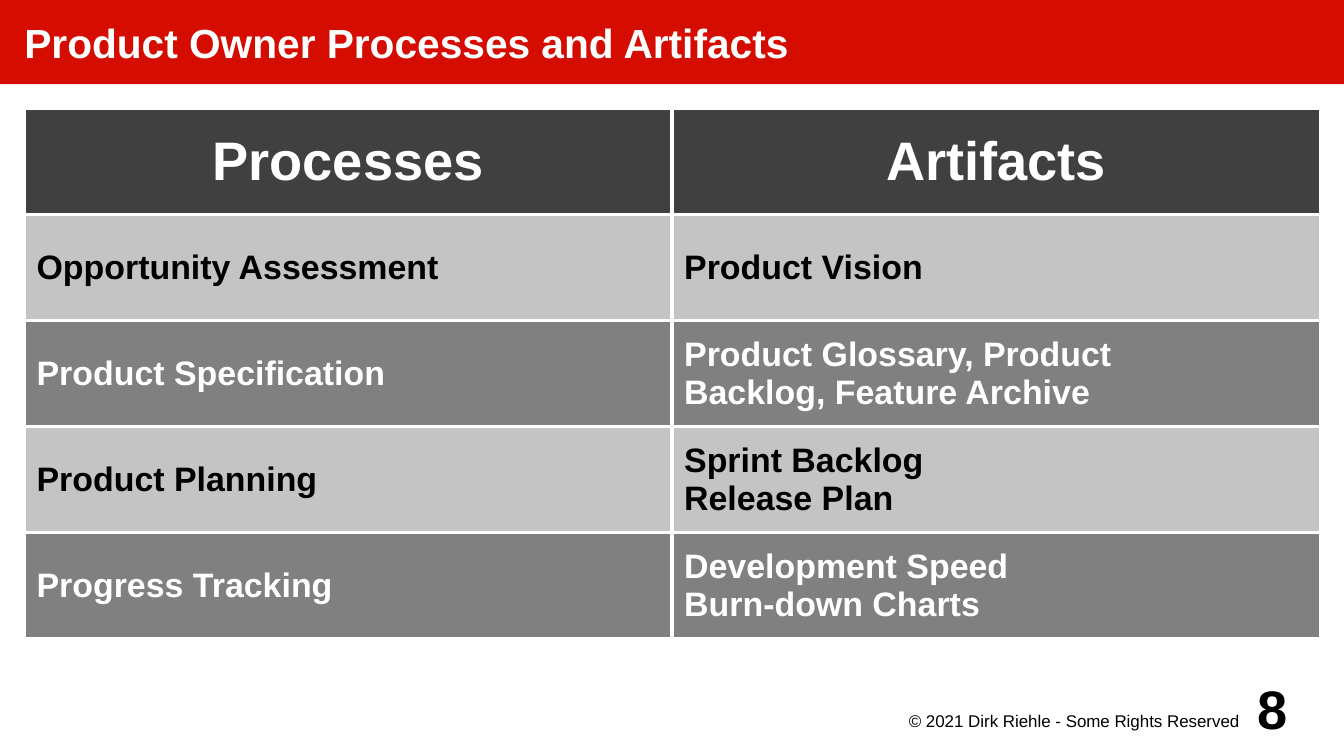
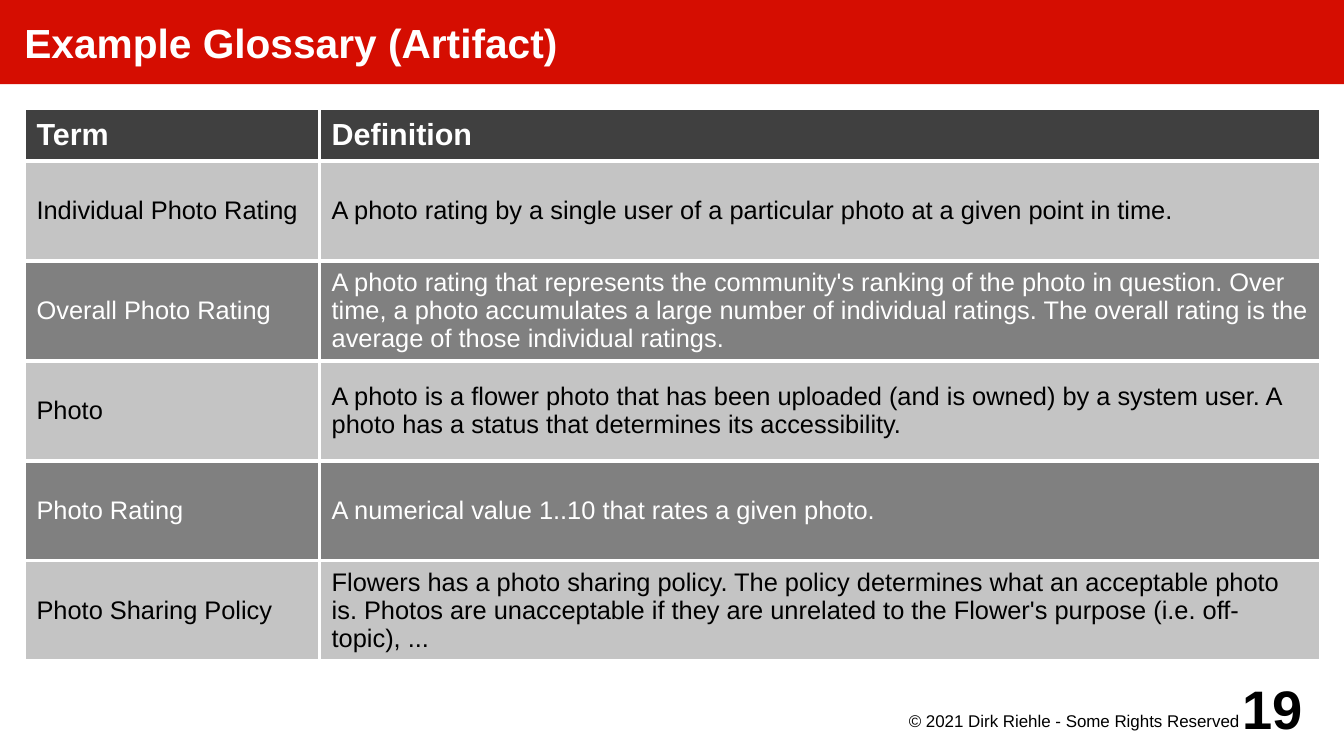
from lxml import etree
from pptx import Presentation
from pptx import util as u
from pptx.dml import color
from pptx.enum import text
from pptx.oxml import ns

FONT = "Arial"
RED, WHITE, BLACK = "D50D01", "FFFFFF", "000000"
HEADER, LIGHT, DARK = "404040", "C4C4C4", "808080"
PAGE_WIDTH, PAGE_HEIGHT = 11.02, 6.2
MARGIN, TABLE_TOP = 0.2, 0.89
BORDER_POINTS = 2.27
COPYRIGHT = "© 2021 Dirk Riehle - Some Rights Reserved"
LEFT, CENTER, RIGHT = text.PP_ALIGN.LEFT, text.PP_ALIGN.CENTER, text.PP_ALIGN.RIGHT
MIDDLE, TOP = text.MSO_ANCHOR.MIDDLE, text.MSO_ANCHOR.TOP

PROCESS_ROWS = [
    ("Processes", "Artifacts"),
    ("Opportunity Assessment", "Product Vision"),
    ("Product Specification", "Product Glossary, Product\vBacklog, Feature Archive"),
    ("Product Planning", "Sprint Backlog\nRelease Plan"),
    ("Progress Tracking", "Development Speed\nBurn-down Charts"),
]
GLOSSARY_ROWS = [
    ("Term", "Definition"),
    ("Individual Photo Rating",
     "A photo rating by a single user of a particular photo at a given point in time."),
    ("Overall Photo Rating",
     "A photo rating that represents the community's ranking of the photo in question. "
     "Over time, a photo accumulates a large number of individual ratings. "
     "The overall rating is the average of those individual ratings."),
    ("Photo",
     "A photo is a flower photo that has been uploaded (and is owned) by a system user. "
     "A photo has a status that determines its accessibility."),
    ("Photo Rating", "A numerical value 1..10 that rates a given photo."),
    ("Photo Sharing Policy",
     "Flowers has a photo sharing policy. The policy determines what an acceptable photo is. "
     "Photos are unacceptable if they are unrelated to the Flower's purpose "
     "(i.e. off-topic), ..."),
]


def paint(target, value):
    target.solid()
    target.fore_color.rgb = color.RGBColor.from_string(value)


def write(frame, content, size, ink, bold=False, align=LEFT):
    for index, paragraph in enumerate(content.split("\n")):
        para = frame.add_paragraph() if index else frame.paragraphs[0]
        para.alignment = align
        for position, line in enumerate(paragraph.split("\v")):
            if position:
                para.add_line_break()
            span = para.add_run()
            span.text = line
            span.font.name = FONT
            span.font.size = u.Pt(size)
            span.font.bold = bold
            paint(span.font.fill, ink)


def set_frame(frame, insets, anchor):
    frame.word_wrap = True
    frame.auto_size = text.MSO_AUTO_SIZE.NONE
    frame.vertical_anchor = anchor
    frame.margin_left, frame.margin_top, frame.margin_right, frame.margin_bottom = map(
        u.Inches, insets)


def add_label(page, at, content, size, bold, align, anchor, insets):
    box = page.shapes.add_textbox(*map(u.Inches, at))
    set_frame(box.text_frame, insets, anchor)
    write(box.text_frame, content, size, BLACK, bold, align)


def add_page(deck, title, number):
    page = deck.slides.add_slide(deck.slide_layouts.get_by_name("Title Only"))
    band = page.shapes.title
    band.left, band.top = 0, 0
    band.width, band.height = u.Inches(PAGE_WIDTH), u.Inches(0.69)
    paint(band.fill, RED)
    set_frame(band.text_frame, (MARGIN, 0, 0, 0), MIDDLE)
    write(band.text_frame, title, 24, WHITE, True)
    add_label(page, (7.09, 5.81, 3.15, 0.3), COPYRIGHT, 10, False, RIGHT, TOP,
              (0, 0.02, 0.08, 0))
    add_label(page, (10.04, 5.51, 0.79, 0.59), str(number), 32, True, CENTER, MIDDLE,
              (0, 0, 0, 0))
    return page


def set_borders(cell):
    properties = cell._tc.get_or_add_tcPr()
    for side in ("a:lnL", "a:lnR", "a:lnT", "a:lnB"):
        line = etree.SubElement(properties, ns.qn(side), w=str(u.Pt(BORDER_POINTS)))
        fill = etree.SubElement(line, ns.qn("a:solidFill"))
        etree.SubElement(fill, ns.qn("a:srgbClr"), val=WHITE)


def add_grid(page, rows, widths, heights, header_size, header_align, body_size, body_bold):
    table = page.shapes.add_table(
        len(rows), len(widths), u.Inches(MARGIN), u.Inches(TABLE_TOP),
        u.Inches(sum(widths)), u.Inches(sum(heights))).table
    for column, width in zip(table.columns, widths):
        column.width = u.Inches(width)
    for row, height in zip(table.rows, heights):
        row.height = u.Inches(height)
    for row_index, row in enumerate(rows):
        if row_index == 0:
            fill, style = HEADER, (header_size, WHITE, True, header_align)
        elif row_index % 2:
            fill, style = LIGHT, (body_size, BLACK, body_bold)
        else:
            fill, style = DARK, (body_size, WHITE, body_bold)
        for column_index, content in enumerate(row):
            cell = table.cell(row_index, column_index)
            cell.vertical_anchor = MIDDLE
            set_borders(cell)
            paint(cell.fill, fill)
            write(cell.text_frame, content, *style)


def main():
    deck = Presentation()
    deck.slide_width, deck.slide_height = u.Inches(PAGE_WIDTH), u.Inches(PAGE_HEIGHT)
    processes = add_page(deck, "Product Owner Processes and Artifacts", 8)
    add_grid(processes, PROCESS_ROWS, (5.31, 5.32), [0.87] * 5, 32, CENTER, 20, True)
    glossary = add_page(deck, "Example Glossary (Artifact)", 19)
    add_grid(glossary, GLOSSARY_ROWS, (2.42, 8.21), [0.43] + [0.82] * 5, 18, LEFT, 15, False)
    deck.save("out.pptx")


if __name__ == "__main__":
    main()
